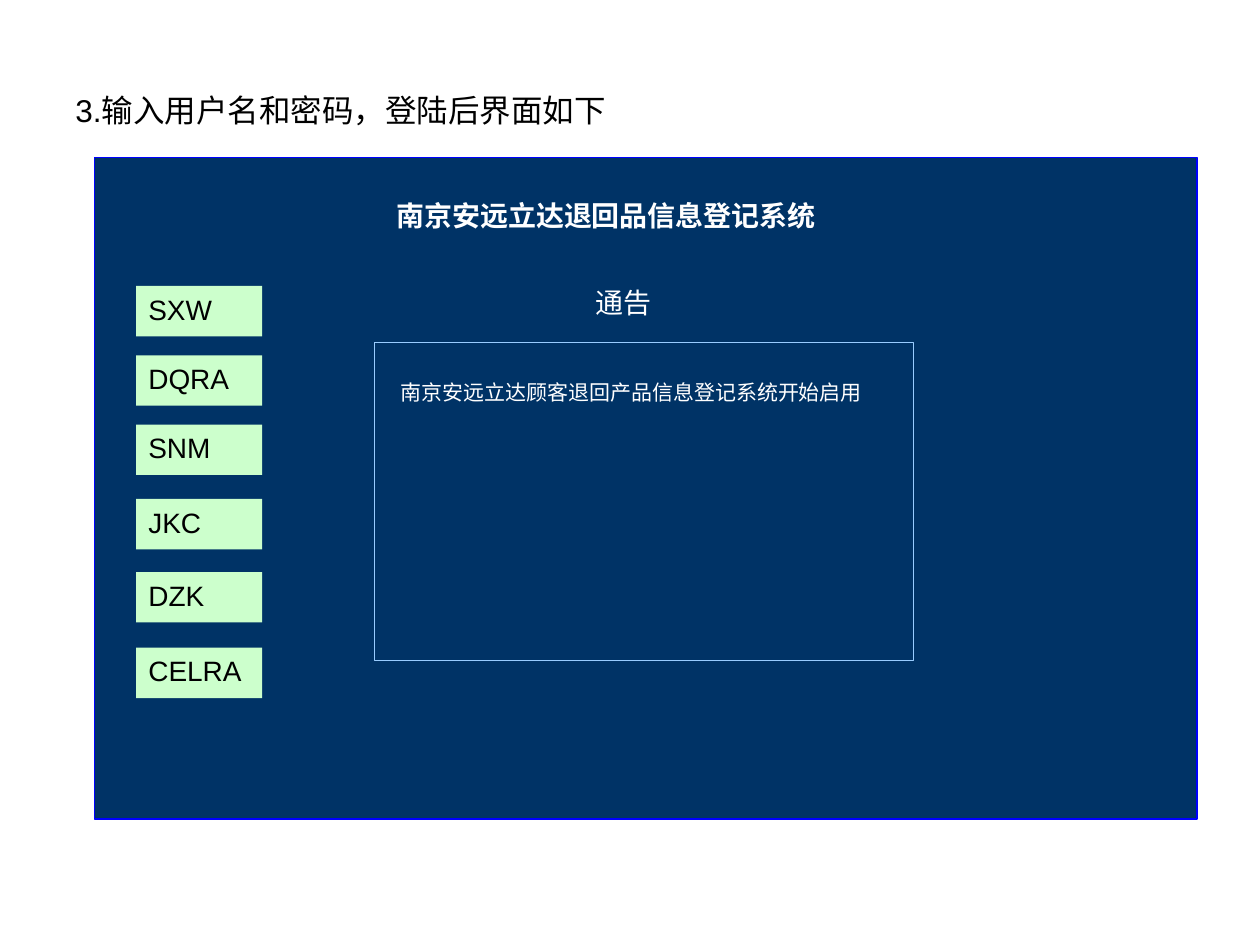
from pptx import Presentation
from pptx.dml.color import RGBColor
from pptx.enum.shapes import MSO_SHAPE as Shape
from pptx.enum.text import MSO_ANCHOR as Anchor, PP_ALIGN as Align
from pptx.util import Inches, Pt

NAVY = RGBColor(0x00, 0x33, 0x66)
BLUE = RGBColor(0x00, 0x00, 0xFF)
SKY = RGBColor(0x99, 0xCC, 0xFF)
MINT = RGBColor(0xCC, 0xFF, 0xCC)
WHITE = RGBColor(0xFF, 0xFF, 0xFF)
BLACK = RGBColor(0x00, 0x00, 0x00)

prs = Presentation()
prs.slide_width, prs.slide_height = Inches(10), Inches(7.5)
slide = prs.slides.add_slide(prs.slide_layouts[6])


def add_box(left, top, width, height, fill=None, line=None, kind=Shape.RECTANGLE):
    box = slide.shapes.add_shape(
        kind, Inches(left), Inches(top), Inches(width), Inches(height))
    box.shadow.inherit = False
    if fill is None:
        box.fill.background()
    else:
        box.fill.solid()
        box.fill.fore_color.rgb = fill
    if line is None:
        box.line.fill.background()
    else:
        box.line.color.rgb = line
        box.line.width = Pt(0.75)
    return box


def write(box, text, size, color, bold=False):
    frame = box.text_frame
    frame.text = text
    frame.word_wrap = True
    frame.vertical_anchor = Anchor.TOP
    paragraph = frame.paragraphs[0]
    paragraph.alignment = Align.LEFT
    font = paragraph.runs[0].font
    font.name, font.size, font.bold = "Arial", Pt(size), bold
    font.color.rgb = color


# Application window with its title
add_box(0.75, 1.25, 8.75, 5.25, NAVY, BLUE)
system_title = add_box(3.05, 1.53, 4.37, 0.44, NAVY)
write(system_title, "南京安远立达退回品信息登记系统", 16, WHITE, bold=True)

# Customer buttons
customers = {"SXW": 2.27, "DQRA": 2.82, "SNM": 3.37,
             "JKC": 3.96, "DZK": 4.54, "CELRA": 5.14}
for customer, top in customers.items():
    button = add_box(1.08, top, 1, 0.4, MINT, kind=Shape.ROUNDED_RECTANGLE)
    button.adjustments[0] = 0
    write(button, customer, 16, BLACK)

# Notice board
notice_heading = add_box(4.63, 2.22, 0.78, 0.29, NAVY)
write(notice_heading, "通告", 16, WHITE)
add_box(2.97, 2.72, 4.28, 2.52, line=SKY)
notice = slide.shapes.add_textbox(Inches(3.08), Inches(2.96), Inches(4.17), Inches(0.72))
write(notice, "南京安远立达顾客退回产品信息登记系统开始启用", 12, WHITE)

# Step instruction above the window
step = slide.shapes.add_textbox(Inches(0.5), Inches(0.67), Inches(5.25), Inches(0.86))
write(step, "3.输入用户名和密码，登陆后界面如下", 18, BLACK)
step.text_frame.paragraphs[0].space_before = Pt(11.2)

prs.save("out.pptx")
